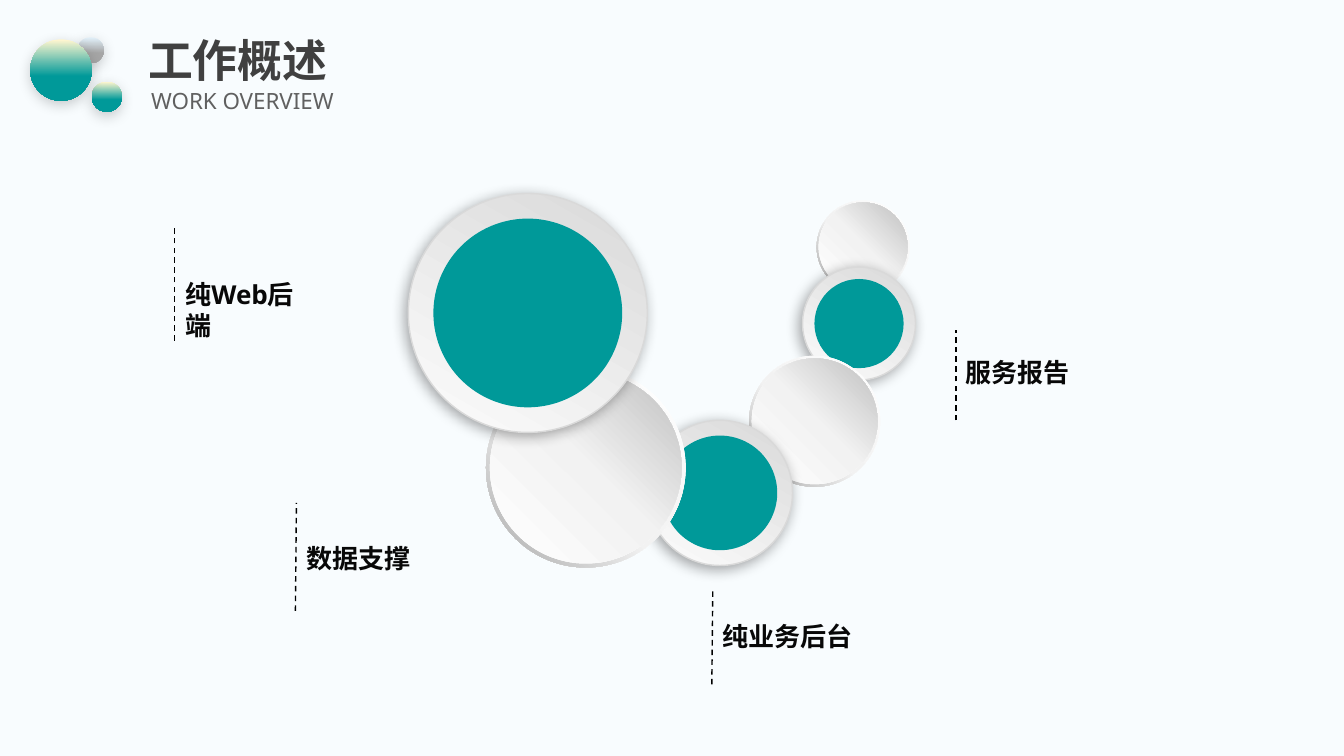
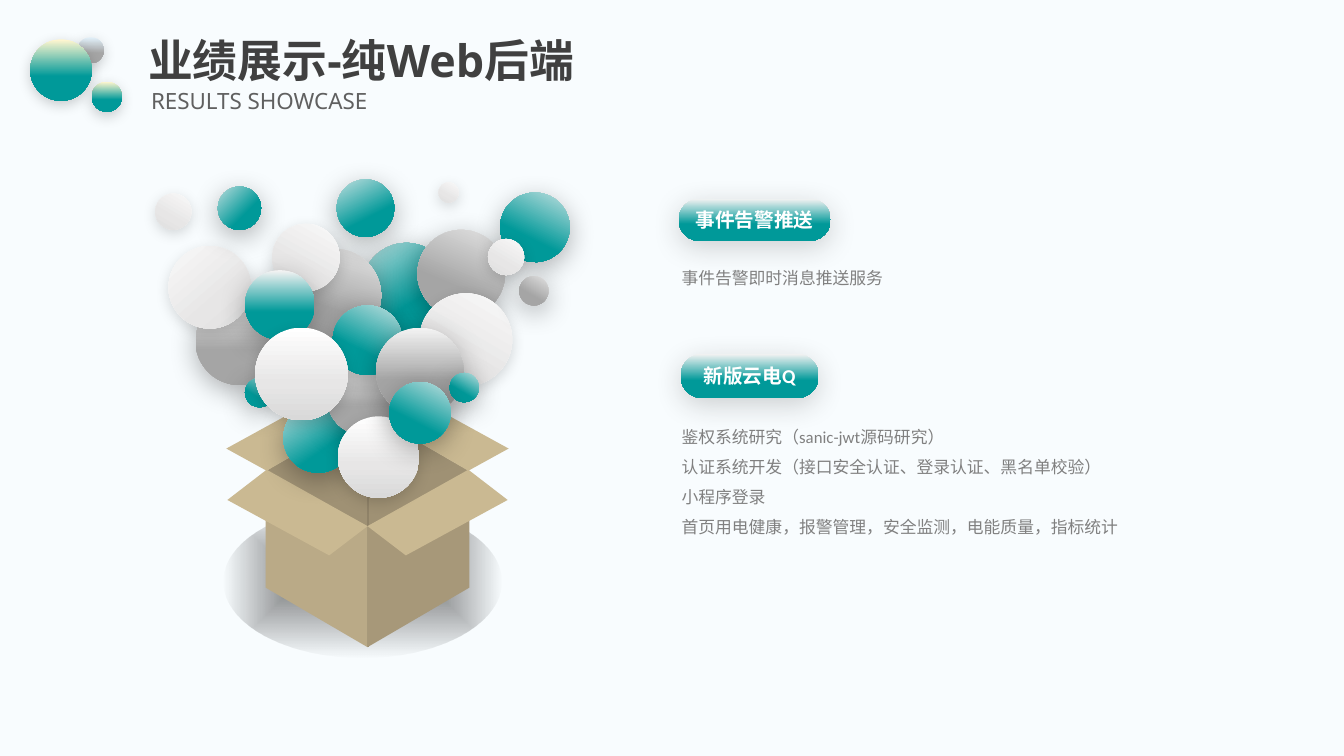
from lxml import etree
from pptx import Presentation
from pptx.dml.color import RGBColor
from pptx.enum.dml import MSO_LINE
from pptx.enum.lang import MSO_LANGUAGE_ID as Lang
from pptx.enum.shapes import MSO_CONNECTOR, MSO_SHAPE as Preset
from pptx.enum.text import MSO_ANCHOR, MSO_AUTO_SIZE, PP_ALIGN
from pptx.oxml.ns import qn
from pptx.util import Inches, Pt

BACKDROP = RGBColor(0xF8, 0xFC, 0xFE)
TEAL = RGBColor(0x00, 0x99, 0x99)
CREAM = RGBColor(0xFF, 0xF6, 0xCF)
ICE = RGBColor(0xE1, 0xF0, 0xF9)
WHITE = RGBColor(0xFF, 0xFF, 0xFF)
NEAR_WHITE = RGBColor(0xFC, 0xFC, 0xFC)
PALE = RGBColor(0xF2, 0xF2, 0xF2)
PEARL = RGBColor(0xE7, 0xE6, 0xE6)
LIGHT = RGBColor(0xD9, 0xD9, 0xD9)
SILVER = RGBColor(0xBF, 0xBF, 0xBF)
RIM_GRAY = RGBColor(0xA6, 0xA6, 0xA6)
GRAY = RGBColor(0xA5, 0xA5, 0xA5)
BODY_GRAY = RGBColor(0x80, 0x80, 0x80)
SUBTITLE_GRAY = RGBColor(0x60, 0x60, 0x60)
TITLE_GRAY = RGBColor(0x40, 0x40, 0x40)
CHARCOAL = RGBColor(0x26, 0x26, 0x26)
INK = RGBColor(0x08, 0x08, 0x08)
BLACK = RGBColor(0x00, 0x00, 0x00)
BOX_INSIDE = RGBColor(0x9F, 0x91, 0x74)
BOX_FLAP = RGBColor(0xCA, 0xB9, 0x92)
BOX_EDGE = RGBColor(0x8F, 0x82, 0x68)
BOX_RIGHT = RGBColor(0xA7, 0x98, 0x79)
BOX_LEFT = RGBColor(0xBA, 0xAA, 0x87)

HEAD_FONT, BODY_FONT = "Noto Sans", "Calibri"

# Gradients: (position %, colour, opacity %)
TEAL_BALL = [(1, PALE, 100), (60, TEAL, 100), (100, TEAL, 100)]
GRAY_BALL = [(1, PALE, 100), (60, GRAY, 100), (100, GRAY, 100)]
WHITE_BALL = [(0, WHITE, 100), (60, PEARL, 100), (100, LIGHT, 100)]
TEAL_MARK = [(1, CREAM, 100), (60, TEAL, 100), (100, TEAL, 100)]
GRAY_MARK = [(1, ICE, 100), (60, GRAY, 100), (100, GRAY, 100)]
RING = [(0, LIGHT, 100), (100, NEAR_WHITE, 100)]
DISC_RIM = [(0, WHITE, 100), (55, PALE, 100), (100, RIM_GRAY, 100)]
DISC_FACE = [(0, WHITE, 100), (51, PALE, 100), (100, SILVER, 100)]
GROUND = [(1, BLACK, 50), (60, BLACK, 20), (100, BLACK, 0)]

# Shadows: colour, opacity %, blur pt, distance pt, direction
MARK_SHADOW = (BLACK, 20, 10, 3, 90)
RING_SHADOW = (BLACK, 34, 10, 3, 136)
PILL_SHADOW = (CHARCOAL, 20, 20, 5, 90)
BALL_SHADOW = (BLACK, 30, 20, 5, 90)
SOFT_SHADOW = (BLACK, 15, 10, 3, 90)

BALL_STYLES = {"teal": (TEAL_BALL, BALL_SHADOW),
               "gray": (GRAY_BALL, BALL_SHADOW),
               "white": (WHITE_BALL, SOFT_SHADOW)}

# Back to front: left, top, diameter, rotation, style
BALLS = [
    (3.59, 2.41, 0.88, 325.6, "teal"), (1.94, 2.95, 0.87, 0, "gray"),
    (4.14, 2.28, 0.87, 22.7, "gray"), (2.43, 3.75, 0.29, 30.6, "teal"),
    (4.96, 1.91, 0.69, 26.6, "teal"), (1.67, 2.44, 0.82, 318.9, "white"),
    (2.86, 2.47, 0.92, 18.2, "gray"), (4.16, 2.91, 0.92, 30.6, "white"),
    (2.81, 4.0, 0.69, 325.6, "teal"), (3.25, 3.62, 0.69, 0, "gray"),
    (3.35, 4.13, 0.81, 0, "white"), (3.3, 3.03, 0.69, 26.6, "teal"),
    (3.34, 1.78, 0.57, 332.5, "teal"), (2.16, 1.85, 0.43, 315, "teal"),
    (1.54, 1.92, 0.36, 30.6, "white"), (5.15, 2.74, 0.29, 30.6, "gray"),
    (4.35, 1.81, 0.2, 30.6, "white"), (4.84, 2.37, 0.36, 30.6, "white"),
    (3.73, 3.25, 0.87, 0, "gray"), (4.46, 3.7, 0.29, 30.6, "teal"),
    (2.7, 2.22, 0.67, 29, "white"), (2.43, 2.68, 0.69, 0, "teal"),
    (3.86, 3.79, 0.61, 27.4, "teal"), (2.53, 3.25, 0.92, 0, "white"),
]

# Text, its left and top, its width, then the ends of the dashed line
LABELS = [
    ("服务报告", 9.48, 3.49, 1.25, (9.48, 4.17), (9.48, 3.27)),
    ("纯业务后台", 7.07, 6.11, 1.52, (7.06, 6.79), (7.07, 5.83)),
    ("数据支撑", 2.94, 5.33, 1.25, (2.93, 6.06), (2.94, 4.99)),
    ("纯Web后端", 1.74, 2.71, 1.45, (1.73, 3.38), (1.73, 2.24)),
]


def set_gradient(shape, stops, angle=None):
    """Fill with stops along an angle, or outwards from the centre without one."""
    shape.fill.background()
    blank_fill = shape._element.spPr.find(qn("a:noFill"))
    gradient = etree.Element(qn("a:gradFill"), rotWithShape="1")
    stop_list = etree.SubElement(gradient, qn("a:gsLst"))
    for position, color, opacity in stops:
        stop = etree.SubElement(stop_list, qn("a:gs"), pos=str(position * 1000))
        tint = etree.SubElement(stop, qn("a:srgbClr"), val=str(color))
        if opacity < 100:
            etree.SubElement(tint, qn("a:alpha"), val=str(opacity * 1000))
    if angle is None:
        center = etree.SubElement(gradient, qn("a:path"), path="shape")
        etree.SubElement(center, qn("a:fillToRect"),
                         {side: "50000" for side in "ltrb"})
    else:
        etree.SubElement(gradient, qn("a:lin"), ang=str(angle * 60000), scaled="0")
    blank_fill.getparent().replace(blank_fill, gradient)


def set_shadow(shape, color, opacity, blur, distance, direction):
    """Give a shape an outer shadow."""
    effects = shape._element.spPr.find(qn("a:effectLst"))
    shadow = etree.SubElement(
        effects, qn("a:outerShdw"), blurRad=str(Pt(blur)), dist=str(Pt(distance)),
        dir=str(direction * 60000), algn="ctr", rotWithShape="0")
    tint = etree.SubElement(shadow, qn("a:srgbClr"), val=str(color))
    etree.SubElement(tint, qn("a:alpha"), val=str(opacity * 1000))


def add_preset(shapes, preset, left, top, width, height, fill, angle=None, shadow=None):
    """Add a borderless preset shape with a solid or gradient fill."""
    shape = shapes.add_shape(preset, Inches(left), Inches(top),
                             Inches(width), Inches(height))
    shape.shadow.inherit = False
    shape.line.fill.background()
    if isinstance(fill, RGBColor):
        shape.fill.solid()
        shape.fill.fore_color.rgb = fill
    else:
        set_gradient(shape, fill, angle)
    if shadow:
        set_shadow(shape, *shadow)
    return shape


def add_circle(shapes, left, top, size, fill, angle=None, shadow=None):
    """Add a circle by its top left corner and diameter."""
    return add_preset(shapes, Preset.OVAL, left, top, size, size, fill, angle, shadow)


def add_ring(slide, left, top, size):
    """Add a teal circle set in a raised light ring."""
    shapes = slide.shapes.add_group_shape().shapes
    ring = add_circle(shapes, left, top, size, RING, 120, RING_SHADOW)
    ring.line.color.rgb = LIGHT
    ring.line.width = Pt(1)
    inset = size * 0.105
    add_circle(shapes, left + inset, top + inset, size - 2 * inset, TEAL)


def add_disc(slide, left, top, size):
    """Add a silver disc with a thin bevelled rim."""
    shapes = slide.shapes.add_group_shape().shapes
    rim = add_preset(shapes, Preset.DONUT, left, top, size, size, DISC_RIM, 135)
    rim.adjustments[0] = 0.049
    inset = size * 0.02
    add_circle(shapes, left + inset, top + inset, size - 2 * inset, DISC_FACE, 315)


def add_line(shapes, start, end, color, dash=None):
    """Add a one point straight line."""
    line = shapes.add_connector(MSO_CONNECTOR.STRAIGHT,
                                *(Inches(v) for v in (*start, *end)))
    line.line.color.rgb = color
    line.line.width = Pt(1)
    if dash:
        line.line.dash_style = dash
    etree.SubElement(line._element.spPr, qn("a:effectLst"))


def add_panel(shapes, points, color):
    """Add a flat polygon."""
    start, *rest = [(Inches(x), Inches(y)) for x, y in points]
    outline = shapes.build_freeform(*start)
    outline.add_line_segments(rest, close=True)
    panel = outline.convert_to_shape()
    panel.shadow.inherit = False
    panel.fill.solid()
    panel.fill.fore_color.rgb = color
    panel.line.fill.background()


def write(frame, lines, size, color, font=HEAD_FONT, bold=False, spacing=None):
    """Write the lines as paragraphs in one style."""
    frame.text = "\n".join(lines)
    for paragraph in frame.paragraphs:
        paragraph.line_spacing = spacing
        for run in paragraph.runs:
            run.font.name = font
            run.font.size = Pt(size)
            run.font.bold = bold
            run.font.color.rgb = color
            run.font.language_id = Lang.SIMPLIFIED_CHINESE


def add_text(slide, left, top, width, height, lines, size, color,
             anchor=MSO_ANCHOR.MIDDLE, inset=None, **style):
    """Add a wrapping text box and return its frame."""
    frame = slide.shapes.add_textbox(Inches(left), Inches(top),
                                     Inches(width), Inches(height)).text_frame
    frame.word_wrap = True
    frame.auto_size = MSO_AUTO_SIZE.SHAPE_TO_FIT_TEXT
    frame.vertical_anchor = anchor
    if inset is not None:
        frame.margin_left = frame.margin_right = Inches(inset)
        frame.margin_top = frame.margin_bottom = Inches(inset)
    write(frame, lines, size, color, **style)
    return frame


def add_pill(slide, left, top, width, height, heading):
    """Add a rounded teal heading."""
    pill = add_preset(slide.shapes, Preset.ROUNDED_RECTANGLE, left, top, width, height,
                      TEAL_BALL, 90, PILL_SHADOW)
    pill.adjustments[0] = 0.5
    write(pill.text_frame, [heading], 14, WHITE, BODY_FONT, bold=True)
    pill.text_frame.paragraphs[0].alignment = PP_ALIGN.CENTER


def add_page(deck, title, subtitle):
    """Add a slide with the corner bubbles and both heading lines."""
    slide = deck.slides.add_slide(deck.slide_layouts[6])
    for left, top, size, stops in ((0.77, 0.37, 0.26, GRAY_MARK),
                                   (0.91, 0.81, 0.3, TEAL_MARK),
                                   (0.3, 0.39, 0.61, TEAL_MARK)):
        add_circle(slide.shapes, left, top, size, stops, 90, MARK_SHADOW)
    add_text(slide, 1.37, 0.33, 11.5, 0.59, [title], 32, TITLE_GRAY,
             bold=True, spacing=0.9)
    add_text(slide, 1.4, 0.84, 9.17, 0.34, [subtitle], 16, SUBTITLE_GRAY, spacing=0.9)
    return slide


def add_box(slide):
    """Add the open carton, mirrored about its front edge, on its ground shadow."""
    shapes = slide.shapes.add_group_shape().shapes
    middle = 3.645

    def add_sides(offsets, right_color, left_color):
        """Add a panel on the right and its mirror on the left."""
        for side, color in ((1, right_color), (-1, left_color)):
            add_panel(shapes, [(middle + side * x, y) for x, y in offsets], color)

    add_preset(shapes, Preset.OVAL, 2.22, 5.02, 2.75, 1.5, GROUND)
    add_panel(shapes, [(2.64, 4.67), (middle, 4.09), (4.65, 4.67), (middle, 5.29)],
              BOX_INSIDE)
    add_sides([(1, 4.67), (1.4, 4.45), (0.38, 3.89), (0, 4.09)], BOX_FLAP, BOX_FLAP)
    add_line(shapes, (3.65, 6.42), (3.65, 4.09), BOX_EDGE)
    add_sides([(0, 6.42), (0, 5.22), (1.01, 4.67), (1.01, 5.83)], BOX_RIGHT, BOX_LEFT)
    add_sides([(1, 4.66), (1.39, 4.96), (0.38, 5.51), (0, 5.22)], BOX_FLAP, BOX_FLAP)


def add_balls(slide):
    """Add the balls that rise out of the carton."""
    shapes = slide.shapes.add_group_shape().shapes
    for left, top, size, rotation, style in BALLS:
        stops, shadow = BALL_STYLES[style]
        add_circle(shapes, left, top, size, stops, 90, shadow).rotation = rotation


def build_overview(deck):
    """Build the work overview slide."""
    slide = add_page(deck, "工作概述", "WORK OVERVIEW")
    add_disc(slide, 8.1, 1.99, 0.92)
    add_ring(slide, 7.96, 2.65, 1.12)
    add_disc(slide, 7.43, 3.53, 1.3)
    for label, left, top, width, start, end in LABELS:
        add_text(slide, left, top, width, 0.42, [label], 18.6, INK,
                 MSO_ANCHOR.TOP, bold=True)
        add_line(slide.shapes, start, end, BLACK, MSO_LINE.DASH)
    add_ring(slide, 6.42, 4.17, 1.44)
    add_disc(slide, 4.82, 3.65, 1.98)
    add_ring(slide, 4.05, 1.92, 2.37)


def build_results(deck):
    """Build the results slide."""
    slide = add_page(deck, "业绩展示-纯Web后端", "RESULTS SHOWCASE")
    add_box(slide)
    add_balls(slide)
    add_pill(slide, 6.73, 1.97, 1.51, 0.42, "事件告警推送")
    add_text(slide, 6.73, 2.58, 3.36, 0.3, ["事件告警即时消息推送服务"], 12, BODY_GRAY,
             inset=0.03, font=BODY_FONT, spacing=1.3)
    add_pill(slide, 6.75, 3.51, 1.37, 0.44, "新版云电Q")
    tasks = ["鉴权系统研究（sanic-jwt源码研究）",
             "认证系统开发（接口安全认证、登录认证、黑名单校验）",
             "小程序登录",
             "首页用电健康，报警管理，安全监测，电能质量，指标统计"]
    add_text(slide, 6.73, 4.11, 4.85, 1.24, tasks, 12, BODY_GRAY,
             inset=0.03, font=BODY_FONT, spacing=1.5)


def main():
    """Build and save the deck."""
    deck = Presentation()
    deck.slide_width, deck.slide_height = Inches(13.33), Inches(7.5)
    backdrop = deck.slide_master.background.fill
    backdrop.solid()
    backdrop.fore_color.rgb = BACKDROP
    build_overview(deck)
    build_results(deck)
    deck.save("out.pptx")


main()
